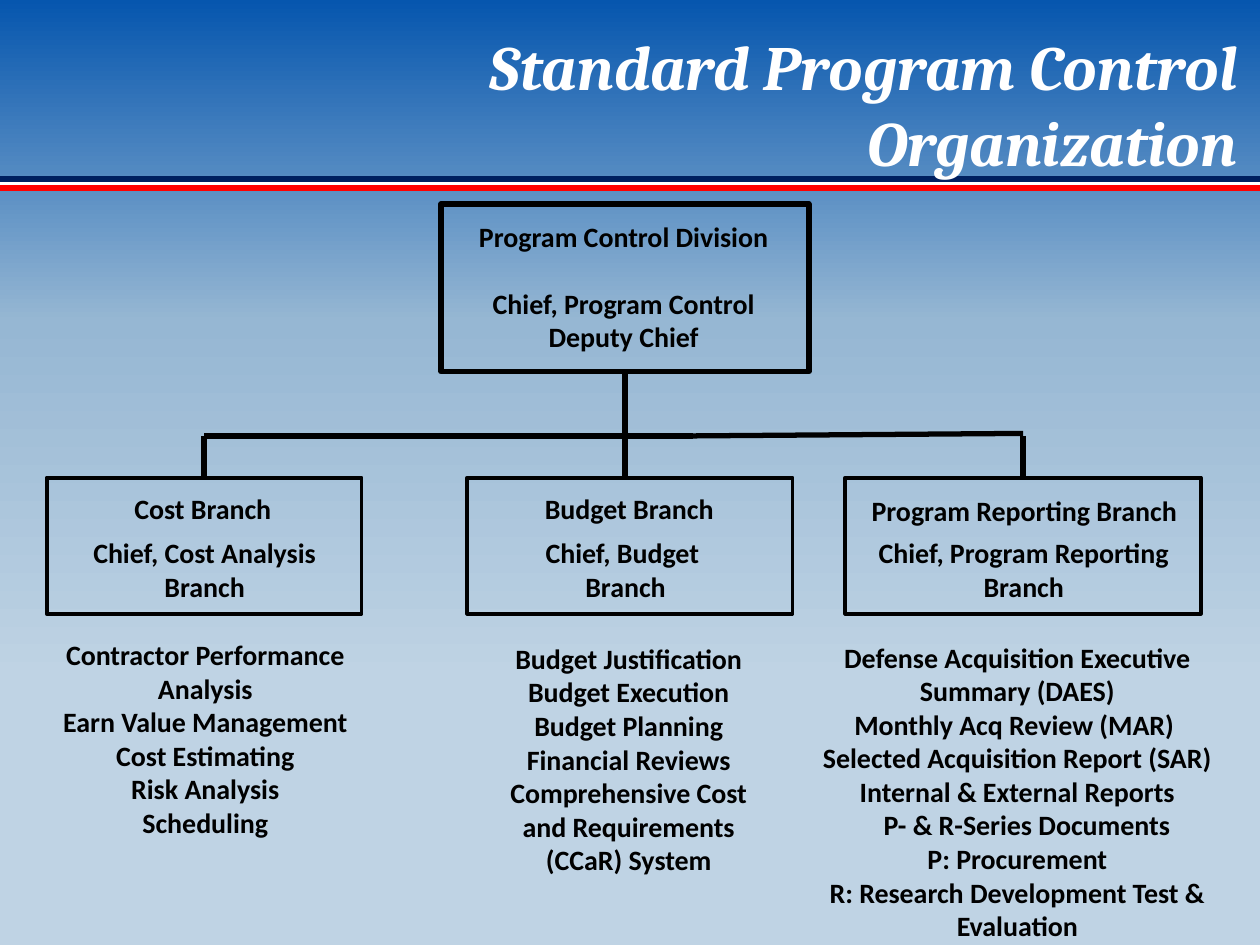
import pptx
import pptx.util
import pptx.dml.color
import pptx.enum.dml
import pptx.enum.shapes
import pptx.enum.text
import pptx.oxml
import pptx.oxml.ns
from lxml import etree

PX = 9144  # 100 px to the inch
COLORS = {
    "sky_top": "0656AE", "sky_middle": "96B7D3", "sky_bottom": "BFD3E4",
    "navy": "002060", "white": "FFFFFF", "red": "FF0000", "black": "000000",
}
TOP, BOTTOM = 0, 2
BUS_Y = 346


def px(*lengths):
    return [pptx.util.Emu(length * PX) for length in lengths]


def rgb(name):
    return pptx.dml.color.RGBColor.from_string(COLORS[name])


def add_line(slide, start, end, color="black", width=3):
    line = slide.shapes.add_connector(
        pptx.enum.shapes.MSO_CONNECTOR.STRAIGHT, *px(*start, *end))
    line.line.color.rgb = rgb(color)
    line.line.width = pptx.util.Pt(width)
    etree.SubElement(line._element.spPr, pptx.oxml.ns.qn("a:effectLst"))
    return line


def add_frame(slide, box, width):
    frame = slide.shapes.add_shape(pptx.enum.shapes.MSO_SHAPE.RECTANGLE, *px(*box))
    frame.shadow.inherit = False
    frame.fill.background()
    frame.line.color.rgb = rgb("black")
    frame.line.width = pptx.util.Pt(width)
    return frame


def style_run(run, font, size, color, italic=False):
    run.font.name = font
    run.font.size = pptx.util.Pt(size)
    run.font.bold = True
    run.font.italic = italic
    run.font.color.rgb = rgb(color)


def add_text(slide, box, lines):
    """Centred bold lines; returns the paragraphs for further spacing."""
    text_frame = slide.shapes.add_textbox(*px(*box)).text_frame
    text_frame.word_wrap = True
    text_frame.margin_left = text_frame.margin_right = 0
    text_frame.margin_top = text_frame.margin_bottom = 0
    for index, line in enumerate(lines):
        paragraph = text_frame.add_paragraph() if index else text_frame.paragraphs[0]
        paragraph.alignment = pptx.enum.text.PP_ALIGN.CENTER
        run = paragraph.add_run()
        run.text = line
        style_run(run, "Calibri", 16, "black")
    return text_frame.paragraphs


def paint_background(slide):
    fill = slide.background.fill
    fill.gradient()
    fill.gradient_angle = 270  # counter-clockwise: runs from top to bottom
    stops = slide._element.find(".//" + pptx.oxml.ns.qn("a:gsLst"))
    for stop in list(stops):
        stops.remove(stop)
    for percent, name in ((0, "sky_top"), (34, "sky_middle"), (72, "sky_bottom")):
        stop = etree.SubElement(stops, pptx.oxml.ns.qn("a:gs"), pos=str(percent * 1000))
        etree.SubElement(stop, pptx.oxml.ns.qn("a:srgbClr"), val=COLORS[name])


def add_header(slide, box):
    left, top, width, height = box
    # Flag-coloured rules across the slide
    for offset, color, weight in ((142, "navy", 3.5), (146, "white", 2.5), (149, "red", 3.5)):
        add_line(slide, (left, top + offset), (left + width, top + offset), color, weight)
    # Title, brought in front of the rules
    title = slide.shapes.title
    title.left, title.top, title.width, title.height = px(left + 142, top + 17, 850, 131)
    text_frame = title.text_frame
    text_frame.word_wrap = True
    text_frame.auto_size = pptx.enum.text.MSO_AUTO_SIZE.NONE
    text_frame.vertical_anchor = pptx.enum.text.MSO_ANCHOR.TOP
    paragraph = text_frame.paragraphs[0]
    paragraph.alignment = pptx.enum.text.PP_ALIGN.RIGHT
    paragraph.line_spacing = 1.0
    run = paragraph.add_run()
    run.text = "Standard Program Control Organization"
    style_run(run, "Cambria", 36, "white", italic=True)
    slide.shapes._spTree.append(title._element)


def add_division(slide, box):
    left, top, width, height = box
    frame = add_frame(slide, box, 3)
    paragraphs = add_text(slide, (left + 20, top + 12, 250, 107), [
        "Program Control Division", "Chief, Program Control", "Deputy Chief"])
    paragraphs[1].space_before = pptx.util.Pt(19)
    return frame


def add_branch(slide, box, name, name_box, chief, chief_box, duties, duties_box):
    """Text boxes are given relative to the branch frame."""
    left, top = box[:2]
    frame = add_frame(slide, box, 2.25)
    paragraphs = []
    for lines, (x, y, width, height) in (
            ([name], name_box), (chief, chief_box), (duties, duties_box)):
        paragraphs = add_text(slide, (left + x, top + y, width, height), lines)
    return frame, paragraphs


def add_links(slide, division, cost, reporting):
    # Trunk and drops
    trunk = add_line(slide, (496, 296), (496, 344))
    trunk.begin_connect(division, BOTTOM)
    add_line(slide, (496, BUS_Y), (496, 379))
    for x, frame in ((162, cost), (812, reporting)):
        drop = add_line(slide, (x, BUS_Y), (x, 379))
        drop.end_connect(frame, TOP)
    # Horizontal bus, rising slightly at the right
    for start, end, end_y in ((162, 454, BUS_Y), (446, 550, BUS_Y), (546, 812, 344)):
        add_line(slide, (start, BUS_Y), (end, end_y))


def main():
    presentation = pptx.Presentation()
    presentation.slide_width, presentation.slide_height = px(1000, 750)
    slide = presentation.slides.add_slide(presentation.slide_layouts[5])
    paint_background(slide)
    add_header(slide, (0, 0, 1000, 150))
    division = add_division(slide, (350, 162, 292, 133))

    # Branches
    cost, _ = add_branch(
        slide, (37, 379, 250, 108),
        "Cost Branch", (20, 11, 208, 27),
        ["Chief, Cost Analysis Branch"], (14, 46, 223, 54),
        ["Contractor Performance Analysis", "Earn Value Management",
         "Cost Estimating", "Risk Analysis", "Scheduling"], (1, 127, 250, 162))
    add_branch(
        slide, (371, 379, 258, 108),
        "Budget Branch", (20, 11, 217, 27),
        ["Chief, Budget ", "Branch"], (17, 46, 217, 54),
        ["Budget Justification", "Budget Execution", "Budget Planning",
         "Financial Reviews", "Comprehensive Cost and Requirements (CCaR) System"],
        (24, 130, 208, 188))
    reporting, duties = add_branch(
        slide, (671, 379, 282, 108),
        "Program Reporting Branch", (17, 13, 250, 27),
        ["Chief, Program Reporting Branch"], (8, 46, 267, 54),
        ["Defense Acquisition Executive Summary (DAES)", "Monthly Acq Review (MAR) ",
         "Selected Acquisition Report (SAR)", "Internal & External Reports",
         "P- & R-Series Documents", "P: Procurement",
         "R: Research Development Test & Evaluation"], (-30, 129, 333, 242))
    # The series line sits a little to the right
    duties[4]._p.get_or_add_pPr().set("marL", str(pptx.util.Pt(11)))

    add_links(slide, division, cost, reporting)
    presentation.save("out.pptx")


if __name__ == "__main__":
    main()
